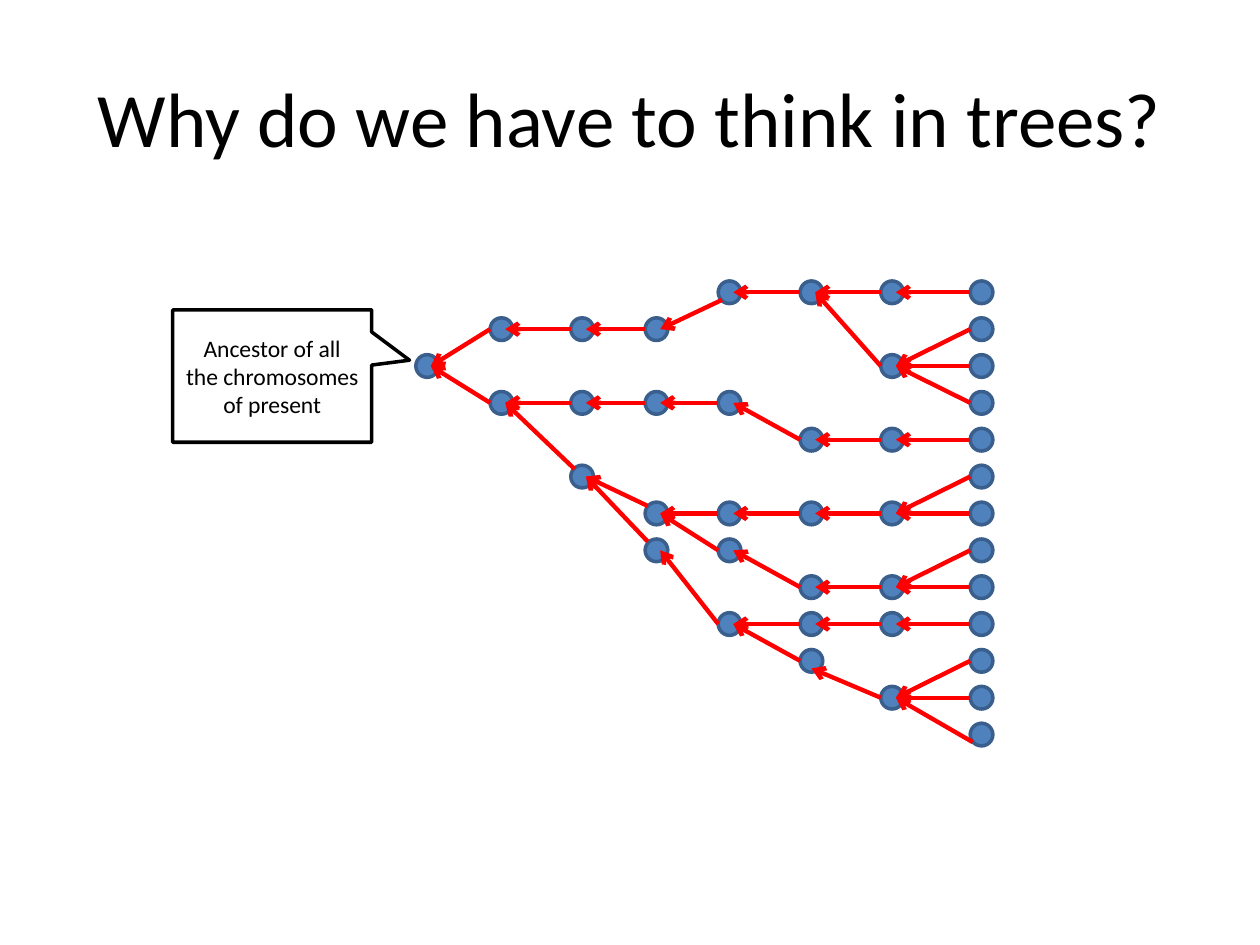
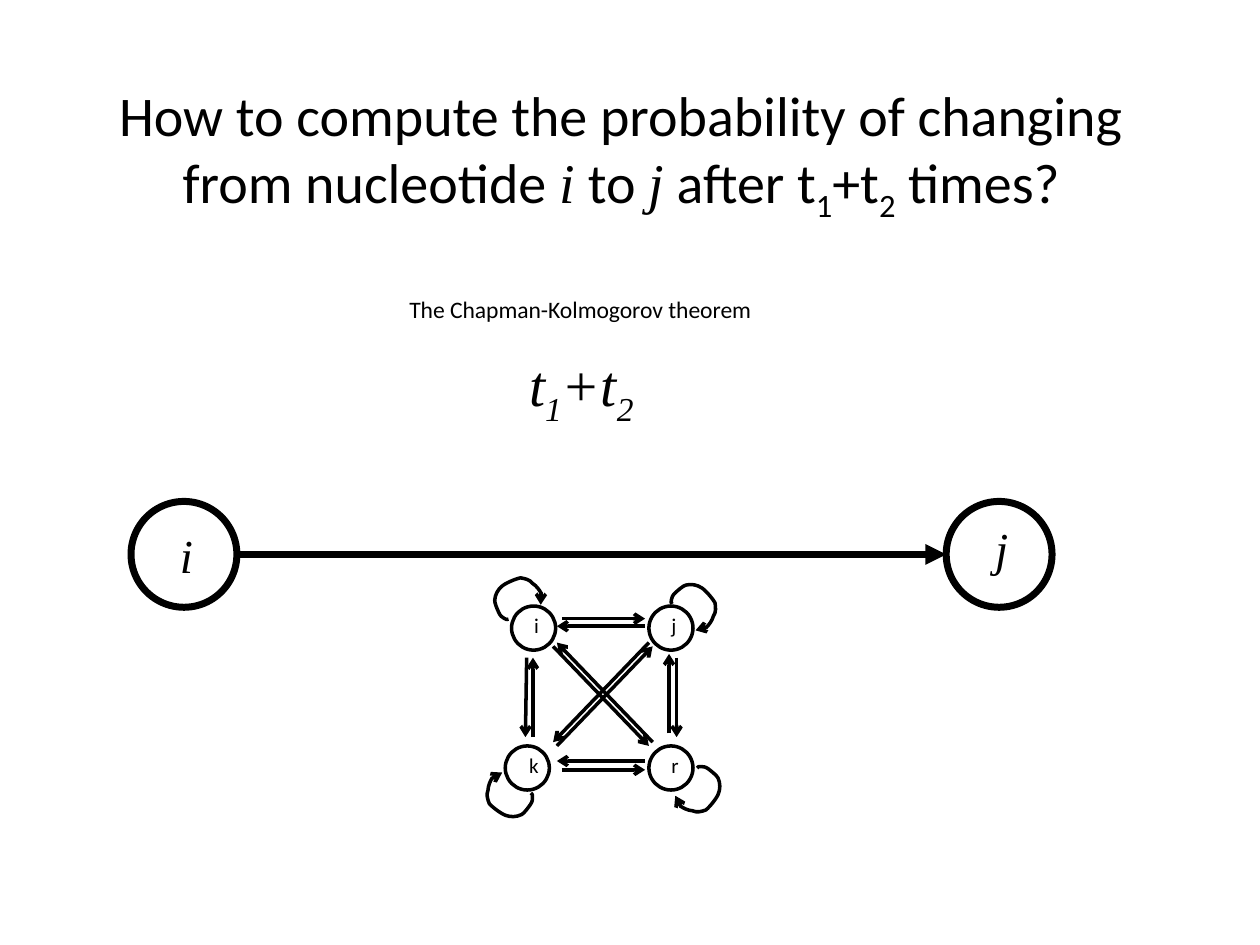
import lxml.etree
import pptx
import pptx.dml.color
import pptx.enum.shapes
import pptx.enum.text
import pptx.oxml.ns
import pptx.util
from pptx.util import Inches

COLORS = {"ink": "000000", "paper": "FFFFFF", "node": "4F81BD",
          "node_edge": "3A5F8C", "descent": "FF0000"}
BODY_FONT = "Calibri"
MATH_FONT = "Times New Roman"
SHAPES = pptx.enum.shapes.MSO_SHAPE
ALIGN = pptx.enum.text.PP_ALIGN

# Genealogy: one column per generation, one row per present chromosome
GENERATION_LEFTS = [3.3, 3.89, 4.53, 5.12, 5.7, 6.35, 6.99, 7.7]
FIRST_ROW_TOP = 2.23
ROW_STEP = 0.2925
NODE_SIZE = 0.18
# For each generation: parent row -> rows of its children in the next one
DESCENT = [
    {2: [1, 3]},
    {1: [1], 3: [3, 5]},
    {1: [1], 3: [3], 5: [6, 7]},
    {1: [0], 3: [3], 6: [6, 7], 7: [9]},
    {0: [0], 3: [4], 6: [6], 7: [8], 9: [9, 10]},
    {0: [0, 2], 4: [4], 6: [6], 8: [8], 9: [9], 10: [11]},
    {0: [0], 2: [1, 2, 3], 4: [4], 6: [5, 6], 8: [7, 8], 9: [9], 11: [10, 11, 12]},
]
# Offsets from a node's corner where an arrow meets it
PARENT_POINT = (0.12, 0.09)
CHILD_POINT = (0, 0.09)
SPECIAL_PARENT_POINTS = {(5, 10): (0.09, 0.15)}
SPECIAL_CHILD_POINTS = {(2, 5): (0.03, 0.03), (3, 6): (0.02, 0.03), (3, 7): (0.02, 0.02),
                        (4, 0): (0.03, 0.15), (7, 12): (0.02, 0.15)}

# Nucleotide graph: label, left, top, label offset, label width
NUCLEOTIDES = [("i", 4.06, 4.81, 0.08, 0.24), ("k", 4.01, 5.92, 0.09, 0.28),
               ("j", 5.15, 4.81, 0.08, 0.24), ("r", 5.15, 5.92, 0.08, 0.26)]
TRANSITIONS = [
    ((4.46, 4.91), (5.12, 4.91)), ((5.12, 4.97), (4.42, 4.97)),
    ((4.46, 6.11), (5.12, 6.11)), ((5.12, 6.04), (4.42, 6.04)),
    ((4.18, 5.22), (4.17, 5.85)), ((4.23, 5.85), (4.23, 5.22)),
    ((5.37, 5.22), (5.37, 5.85)), ((5.31, 5.82), (5.31, 5.19)),
    ((4.39, 5.13), (5.15, 5.92)), ((5.18, 5.89), (4.42, 5.1)),
    ((5.15, 5.1), (4.39, 5.89)), ((4.42, 5.92), (5.18, 5.13)),
]
# Self loop in hundredths of an inch: a start, then three points per curve
LOOP_POINTS = [
    (33, 27),
    (34, 25), (37, 23), (37, 20), (37, 17), (36, 12), (34, 9),
    (33, 5), (30, 3), (27, 1), (23, 0), (14, 0), (11, 1),
    (7, 2), (3, 5), (1, 9), (0, 11), (0, 16), (0, 19),
    (0, 22), (1, 24), (2, 25), (3, 27), (4, 27), (5, 27),
]
SELF_LOOPS = [(3.92, 4.6, 336.1), (5.34, 4.67, 48.4), (3.84, 6.19, 215.7), (5.37, 6.15, 128.1)]


def rgb(color):
    return pptx.dml.color.RGBColor.from_string(COLORS[color])


def style_line(shape, color, width):
    shape.line.color.rgb = rgb(color)
    shape.line.width = pptx.util.Pt(width)


def add_arrowhead(shape, end, kind):
    """Put an arrowhead at "headEnd" (start) or "tailEnd" (finish) of a styled line."""
    line = shape.element.spPr.find(pptx.oxml.ns.qn("a:ln"))
    lxml.etree.SubElement(line, pptx.oxml.ns.qn("a:" + end), type=kind)


def add_arrow(slide, start, finish, color, width, kind="arrow"):
    connector = slide.shapes.add_connector(
        pptx.enum.shapes.MSO_CONNECTOR.STRAIGHT,
        *(Inches(value) for value in (*start, *finish)))
    style_line(connector, color, width)
    add_arrowhead(connector, "tailEnd", kind)
    lxml.etree.SubElement(connector.element.spPr, pptx.oxml.ns.qn("a:effectLst"))


def add_preset(slide, preset, box, line_color, line_width, fill=None):
    shape = slide.shapes.add_shape(preset, *(Inches(value) for value in box))
    shape.shadow.inherit = False
    if fill:
        shape.fill.solid()
        shape.fill.fore_color.rgb = rgb(fill)
    else:
        shape.fill.background()
    style_line(shape, line_color, line_width)
    return shape


def write(shape, runs, size, font=BODY_FONT, italic=False, align=ALIGN.LEFT):
    """Fill a shape with one paragraph of (text, role) runs; role is "", "math" or "sub"."""
    paragraph = shape.text_frame.paragraphs[0]
    paragraph.alignment = align
    paragraph.font.size = pptx.util.Pt(size)
    paragraph.font.name = font
    paragraph.font.italic = italic
    paragraph.font.color.rgb = rgb("ink")
    for text, role in runs:
        run = paragraph.add_run()
        run.text = text
        if role == "math":
            run.font.name = MATH_FONT
            run.font.italic = True
        elif role == "sub":
            run._r.get_or_add_rPr().set("baseline", "-25000")


def add_title(slide, box, runs, size):
    title = slide.shapes.add_textbox(*(Inches(value) for value in box))
    title.text_frame.word_wrap = True
    title.text_frame.vertical_anchor = pptx.enum.text.MSO_ANCHOR.MIDDLE
    write(title, runs, size, align=ALIGN.CENTER)


def add_label(slide, box, runs, size, **style):
    label = slide.shapes.add_textbox(*(Inches(value) for value in box))
    label.text_frame.word_wrap = False
    label.text_frame.auto_size = pptx.enum.text.MSO_AUTO_SIZE.SHAPE_TO_FIT_TEXT
    write(label, runs, size, **style)


def node_corner(generation, row):
    return GENERATION_LEFTS[generation], FIRST_ROW_TOP + row * ROW_STEP


def add_tree_node(slide, generation, row):
    box = (*node_corner(generation, row), NODE_SIZE, NODE_SIZE)
    add_preset(slide, SHAPES.OVAL, box, "node_edge", 2, fill="node")


def add_descent_arrow(slide, parent, child):
    """Draw the arrow that leads from a child node back to its parent."""
    def meeting_point(node, offset):
        return tuple(corner + shift for corner, shift in zip(node_corner(*node), offset))

    start = meeting_point(child, SPECIAL_CHILD_POINTS.get(child, CHILD_POINT))
    finish = meeting_point(parent, SPECIAL_PARENT_POINTS.get(parent, PARENT_POINT))
    add_arrow(slide, start, finish, "descent", 2.5)


def add_tree(slide):
    add_tree_node(slide, 0, 2)
    for generation, families in enumerate(DESCENT):
        links = [(parent, child) for parent, children in families.items() for child in children]
        for _, child in links:
            add_tree_node(slide, generation + 1, child)
        for parent, child in links:
            add_descent_arrow(slide, (generation, parent), (generation + 1, child))


def add_self_loop(slide, left, top, rotation):
    builder = slide.shapes.build_freeform(*LOOP_POINTS[0], scale=Inches(0.01))
    builder.add_line_segments(LOOP_POINTS[1:], close=False)
    loop = builder.convert_to_shape(Inches(left), Inches(top))
    loop.rotation = rotation
    loop.shadow.inherit = False
    loop.fill.background()
    style_line(loop, "ink", 2)
    add_arrowhead(loop, "headEnd", "arrow")
    # Turn every three straight segments into one cubic curve
    outline = next(loop.element.iter(pptx.oxml.ns.qn("a:path")))
    segments = outline.findall(pptx.oxml.ns.qn("a:lnTo"))
    for first in range(0, len(segments), 3):
        curve = lxml.etree.SubElement(outline, pptx.oxml.ns.qn("a:cubicBezTo"))
        for segment in segments[first:first + 3]:
            curve.append(segment[0])
            outline.remove(segment)


def add_state(slide, left):
    add_preset(slide, SHAPES.OVAL, (left, 3.98, 0.84, 0.84), "ink", 4)


def add_nucleotide_graph(slide):
    for name, left, top, label_offset, label_width in NUCLEOTIDES:
        add_preset(slide, SHAPES.OVAL, (left, top, 0.35, 0.35), "ink", 2)
        add_label(slide, (left + label_offset, top, label_width, 0.3), [(name, "")], 12)
    for start, finish in TRANSITIONS:
        add_arrow(slide, start, finish, "ink", 2)
    for left, top, rotation in SELF_LOOPS:
        add_self_loop(slide, left, top, rotation)


def build_tree_slide(slide):
    add_tree(slide)
    callout = add_preset(slide, SHAPES.RECTANGULAR_CALLOUT, (1.37, 2.46, 1.58, 1.05),
                         "ink", 2, fill="paper")
    callout.adjustments[0] = 0.69
    callout.adjustments[1] = -0.12
    callout.text_frame.word_wrap = True
    write(callout, [("Ancestor of all the chromosomes of present", "")], 13.5,
          align=ALIGN.CENTER)
    add_title(slide, (0.5, 0.3, 9, 1.25), [("Why do we have to think in trees?", "")], 44)


def build_probability_slide(slide):
    math_style = {"font": MATH_FONT, "italic": True}
    add_title(slide, (0.42, 0.74, 9.02, 0.94), [
        ("How to compute the probability of changing from nucleotide ", ""),
        ("i", "math"), (" to ", ""), ("j", "math"), (" after t", ""),
        ("1", "sub"), ("+t", ""), ("2", "sub"), (" times?", "")], 32)
    add_label(slide, (3.15, 2.29, 2.96, 0.33), [("The Chapman-Kolmogorov theorem", "")], 13.5)
    add_state(slide, 1.04)
    add_label(slide, (1.33, 4.13, 0.31, 0.56), [("i", "")], 27, **math_style)
    add_state(slide, 7.51)
    add_label(slide, (7.8, 4.07, 0.31, 0.56), [("j", "")], 27, **math_style)
    add_arrow(slide, (1.88, 4.4), (7.51, 4.4), "ink", 4, kind="triangle")
    add_label(slide, (4.1, 2.72, 1.08, 0.66),
              [("t", ""), ("1", "sub"), ("+t", ""), ("2", "sub")], 33, **math_style)
    add_nucleotide_graph(slide)


def main():
    presentation = pptx.Presentation()
    presentation.slide_width = Inches(10)
    presentation.slide_height = Inches(7.5)
    blank_layout = presentation.slide_layouts[6]
    for build in (build_tree_slide, build_probability_slide):
        build(presentation.slides.add_slide(blank_layout))
    presentation.save("out.pptx")


if __name__ == "__main__":
    main()
